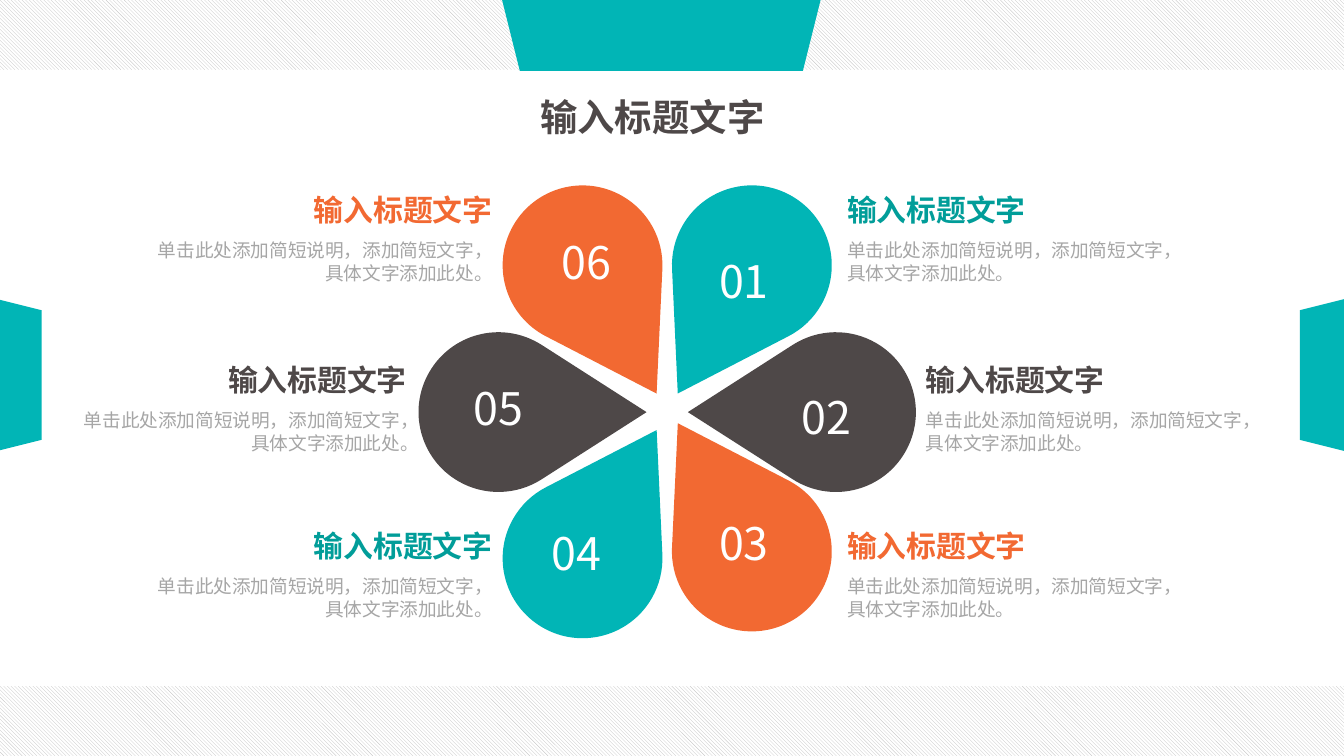
from math import acos, cos, degrees, pi, radians, sin, tan

from pptx import Presentation
from pptx.dml.color import RGBColor
from pptx.enum.dml import MSO_PATTERN
from pptx.enum.shapes import MSO_SHAPE
from pptx.enum.text import MSO_AUTO_SIZE, PP_ALIGN
from pptx.oxml.ns import qn
from pptx.util import Cm, Pt

RECTANGLE, TRAPEZOID = MSO_SHAPE.RECTANGLE, MSO_SHAPE.TRAPEZOID
HATCH = MSO_PATTERN.LIGHT_DOWNWARD_DIAGONAL
GROW = MSO_AUTO_SIZE.SHAPE_TO_FIT_TEXT
LEFT, CENTER, RIGHT, JUSTIFY = PP_ALIGN.LEFT, PP_ALIGN.CENTER, PP_ALIGN.RIGHT, PP_ALIGN.JUSTIFY

FONT = "Noto Sans CJK SC"
COLORS = {
    "teal": "01B5B6", "dark teal": "019D99", "orange": "F26932", "dark": "4E4848",
    "grey": "A6A6A6", "hatch": "BFBFBF", "white": "FFFFFF",
}
FORMATS = {
    "title": {"size": Pt(20), "bold": True},
    "heading": {"size": Pt(16), "bold": True},
    "description": {"size": Pt(10)},
    "number": {"size": Pt(24)},
}

SLIDE_WIDTH, SLIDE_HEIGHT = 25.4, 14.29
BAND_HEIGHT = 1.32
PETAL_LENGTH, PETAL_RADIUS = 2.8, 1.51
PETAL_TILT = 30
HEADING_WIDTH, DESCRIPTION_WIDTH = 4.78, 6.6
DESCRIPTION_OFFSET = 0.89

HEADING = "输入标题文字"
DESCRIPTION = ["单击此处添加简短说明，添加简短文字，", "具体文字添加此处。"]

# Clockwise from upper right: fill, tip, number position
PETALS = [
    ("teal", (12.81, 7.44), (13.3, 4.67)),
    ("dark", (13, 7.79), (14.86, 7.24)),
    ("orange", (12.81, 8), (13.3, 9.63)),
    ("teal", (12.41, 8.13), (10.13, 9.82)),
    ("dark", (12.22, 7.79), (8.66, 7.08)),
    ("orange", (12.41, 7.44), (10.33, 4.32)),
]
# Heading colour, alignment, edge of heading, edge of description, top
CAPTIONS = [
    ("dark teal", LEFT, 16.01, 16.01, 3.63),
    ("dark", LEFT, 17.5, 17.5, 6.84),
    ("orange", LEFT, 16.01, 16.01, 9.98),
    ("dark teal", RIGHT, 9.31, 9.31, 9.98),
    ("dark", RIGHT, 7.69, 7.91, 6.84),
    ("orange", RIGHT, 9.31, 9.31, 3.63),
]


def rgb(name):
    return RGBColor.from_string(COLORS[name])


def paint(shape, color):
    shape.shadow.inherit = False
    shape.fill.solid()
    shape.fill.fore_color.rgb = rgb(color)
    shape.line.fill.background()


def add_text(slide, lines, box, style, color, align, margin=0, wrap=True):
    frame = slide.shapes.add_textbox(*map(Cm, box)).text_frame
    frame.word_wrap = wrap
    frame.auto_size = GROW
    if not margin:
        for side in ("left", "top", "right", "bottom"):
            setattr(frame, f"margin_{side}", Cm(0))
    frame.text = "\n".join(lines)
    for paragraph in frame.paragraphs:
        paragraph.alignment = align
        for run in paragraph.runs:
            run.font.name = FONT
            run.font.color.rgb = rgb(color)
            for name, value in FORMATS[style].items():
                setattr(run.font, name, value)
            east_asian = run.font._element.makeelement(qn("a:ea"), {"typeface": FONT})
            run.font._element.append(east_asian)


def add_hatched_band(slide, top):
    band = slide.shapes.add_shape(RECTANGLE, 0, Cm(top), Cm(SLIDE_WIDTH), Cm(BAND_HEIGHT))
    band.shadow.inherit = False
    band.fill.patterned()
    band.fill.pattern = HATCH
    band.fill.fore_color.rgb = rgb("hatch")
    band.fill.back_color.rgb = rgb("white")
    band.line.fill.background()


def add_tab(slide, box, rotation=0, flip=None):
    tab = slide.shapes.add_shape(TRAPEZOID, *map(Cm, box))
    tab.rotation = rotation
    if flip:
        tab._element.spPr.find(qn("a:xfrm")).set(flip, "1")
    paint(tab, "teal")


def drop_points(direction):
    """Start of the round end, then two handles and an end for each curve; tip at (0, 0)."""
    half_arc = degrees(pi - acos(PETAL_RADIUS / PETAL_LENGTH))
    first, last = direction - half_arc, direction + half_arc
    quarters = [turn for turn in range(-360, 720, 90) if first < turn < last]
    turns = [radians(turn) for turn in (first, *quarters, last)]

    def on_arc(turn, handle=0):
        return (
            PETAL_LENGTH * cos(radians(direction)) + PETAL_RADIUS * (cos(turn) - handle * sin(turn)),
            PETAL_LENGTH * sin(radians(direction)) + PETAL_RADIUS * (sin(turn) + handle * cos(turn)),
        )

    points = [on_arc(turns[0])]
    for start, end in zip(turns, turns[1:]):
        handle = 4 / 3 * tan((end - start) / 4)
        points += [on_arc(start, handle), on_arc(end, -handle), on_arc(end)]
    return points


def bend_segments(shape):
    """Join each three lines after the first into one curve."""
    lines = list(shape._element.iter(qn("a:lnTo")))[1:]
    for index in range(0, len(lines) - 2, 3):
        curve = lines[index].makeelement(qn("a:cubicBezTo"), {})
        lines[index].addprevious(curve)
        for line in lines[index:index + 3]:
            curve.append(line[0])
            line.getparent().remove(line)


def add_petal(slide, tip, direction, color):
    """Draw a drop in its untilted frame, then tilt it about its middle."""
    points = drop_points(direction - PETAL_TILT)
    middle_x, middle_y = [
        (min(0, *values) + max(0, *values)) / 2 for values in zip(*points)
    ]
    cosine, sine = cos(radians(PETAL_TILT)), sin(radians(PETAL_TILT))
    left = tip[0] + middle_x * cosine - middle_y * sine - middle_x
    top = tip[1] + middle_x * sine + middle_y * cosine - middle_y
    builder = slide.shapes.build_freeform(Cm(left), Cm(top))
    builder.add_line_segments([(Cm(left + x), Cm(top + y)) for x, y in points], close=True)
    petal = builder.convert_to_shape()
    bend_segments(petal)
    petal.rotation = PETAL_TILT
    paint(petal, color)


def add_caption(slide, color, align, heading_edge, description_edge, top):
    if align == RIGHT:
        heading_edge -= HEADING_WIDTH
        description_edge -= DESCRIPTION_WIDTH
    add_text(slide, DESCRIPTION,
             (description_edge, top + DESCRIPTION_OFFSET, DESCRIPTION_WIDTH, 0.86),
             "description", "grey", align)
    add_text(slide, [HEADING], (heading_edge, top, HEADING_WIDTH, 0.69),
             "heading", color, align)


def main():
    presentation = Presentation()
    presentation.slide_width = Cm(SLIDE_WIDTH)
    presentation.slide_height = Cm(SLIDE_HEIGHT)
    slide = presentation.slides.add_slide(presentation.slide_layouts[6])

    for index, (color, tip, _) in enumerate(PETALS):
        add_petal(slide, tip, 60 * index - 60, color)
    for number, (_, _, position) in enumerate(PETALS, 1):
        add_text(slide, [f"{number:02}"], (*position, 1.52, 1.27),
                 "number", "white", CENTER, margin=True, wrap=False)
    for caption in CAPTIONS:
        add_caption(slide, *caption)

    for top in (0, SLIDE_HEIGHT - BAND_HEIGHT):
        add_hatched_band(slide, top)
    add_tab(slide, (-1.07, 6.67, 2.87, 0.84), rotation=90)
    add_tab(slide, (23.55, 6.67, 2.87, 0.84), rotation=270, flip="flipH")
    add_text(slide, [HEADING], (9.96, 1.65, 5.08, 1.12), "title", "dark", JUSTIFY, margin=True)
    add_tab(slide, (9.49, 0, 6.02, 1.34), flip="flipV")

    presentation.save("out.pptx")


if __name__ == "__main__":
    main()
